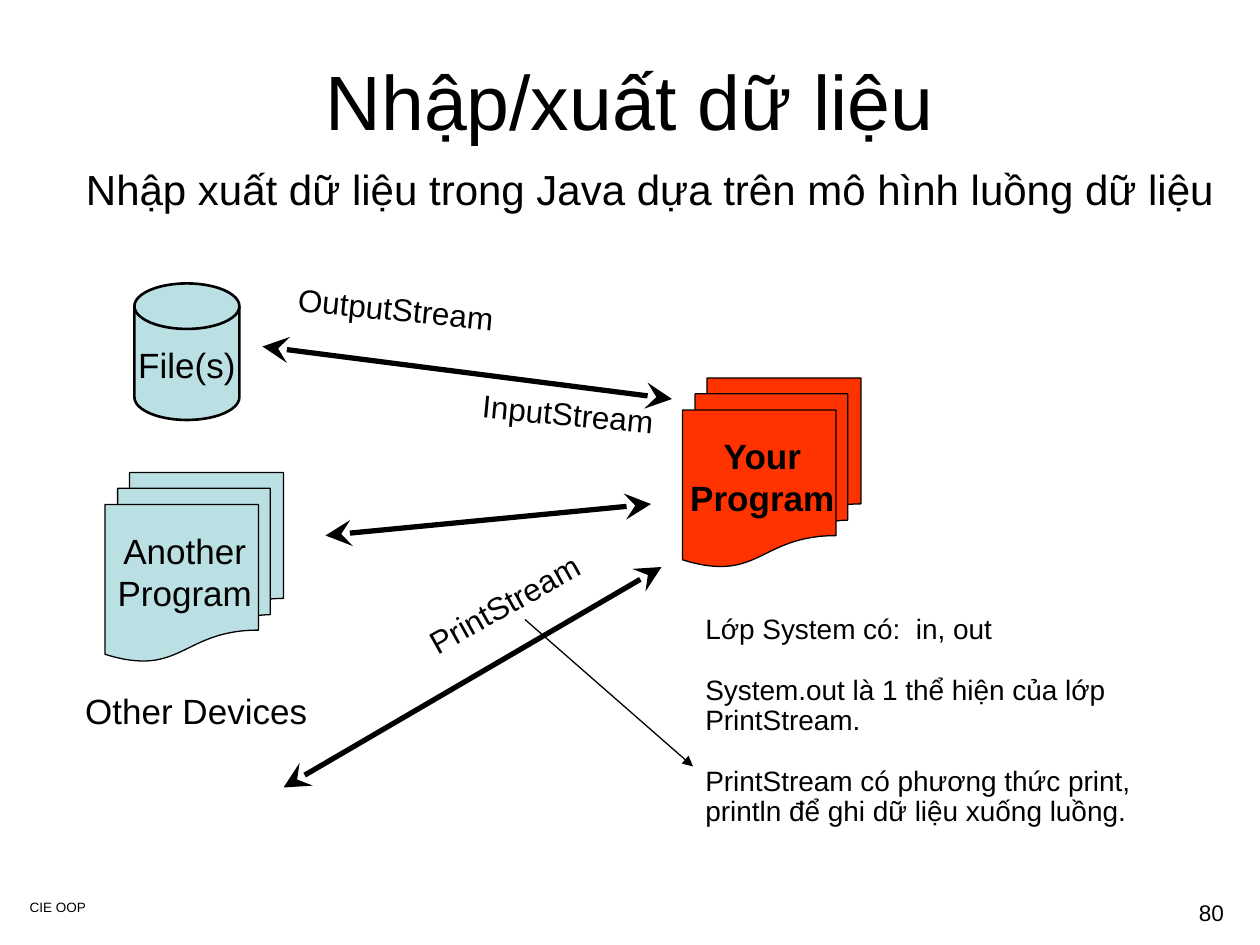
from lxml import etree
from pptx import Presentation
from pptx import util as u
from pptx.dml.color import RGBColor
from pptx.enum import shapes, text
from pptx.oxml.ns import qn

SLIDE = (10, 7.5)
COLS, ROWS = 120, 90  # square cells

THEME = {
    "font": "Arial",
    "ink": RGBColor(0, 0, 0),
    "pale": RGBColor(0xBB, 0xE0, 0xE3),
    "red": RGBColor(0xFF, 0x33, 0x00),
    "title": 44, "lead": 24, "node": 20, "stream": 18,
    "note": 16, "number": 12.9, "footer": 7.7,
}

CENTER = text.PP_ALIGN.CENTER
DISK = shapes.MSO_SHAPE.FLOWCHART_MAGNETIC_DISK
PAGES = shapes.MSO_SHAPE.FLOWCHART_MULTIDOCUMENT

# Paragraphs, (column, row, columns, rows), type role, formats
BLOCKS = [
    (["80"], (113, 85, 5, 4), "number", {}),
    (["CIE OOP"], (0, 85, 11, 3), "footer", {"alignment": CENTER}),
    (["Nhập/xuất dữ liệu"], (9, 2, 102, 15), "title", {"alignment": CENTER}),
    (["Nhập xuất dữ liệu trong Java dựa trên mô hình luồng dữ liệu"],
     (7, 15, 111, 8), "lead", {"space_before": u.Pt(6)}),
    (["Lớp System có:  in, out",
      "System.out là 1 thể hiện của lớp PrintStream.",
      "PrintStream có phương thức print, println để ghi dữ liệu xuống luồng."],
     (66, 58, 49, 21.4), "note",
     {"line_spacing": 0.9, "space_before": u.Pt(17.5)}),
]

# Shape, (column, row, columns, rows), fill role, line width
NODES = [
    (PAGES, (65, 36, 17, 18), "red", 0.75),
    (DISK, (12.8, 27, 10, 13), "pale", 1.5),
    (PAGES, (10, 45, 17, 18), "pale", 0.75),
]

# Lines, centre, size, type role, bold, rotation
LABELS = [
    (["Your", "Program"], (72.6, 45.4), (16.2, 9.2), "node", True, 0),
    (["File(s)"], (17.8, 34.8), (11.8, 5.3), "node", False, 0),
    (["Another", "Program"], (17.6, 54.4), (15.4, 9.2), "node", False, 0),
    (["Other Devices"], (18.7, 67.7), (23.8, 5.3), "node", False, 0),
    (["InputStream"], (54.1, 39.4), (19, 4.8), "stream", False, 5.5),
    (["OutputStream"], (37.7, 29.4), (21.3, 4.8), "stream", False, 5.6),
    (["PrintStream"], (48, 57.5), (18.5, 4.8), "stream", False, 330.7),
]

# From, to, line width, arrowheads
LARGE = {"type": "stealth", "w": "lg", "len": "lg"}
BOTH_ENDS = {"headEnd": LARGE, "tailEnd": LARGE}
ARROWS = [
    ((50, 59), (66, 73), 0.75, {"tailEnd": {"type": "triangle"}}),
    ((25, 33), (64, 38), 3, BOTH_ENDS),
    ((31, 51), (62, 48), 3, BOTH_ENDS),
    ((27, 75), (63, 54), 3, BOTH_ENDS),
]


def place(*cells):
    """Turn alternating column and row counts into lengths."""
    scale = (SLIDE[0] / COLS, SLIDE[1] / ROWS)
    return [u.Inches(c * scale[i % 2]) for i, c in enumerate(cells)]


def add_text(s, lines, box, role, formats, bold=False):
    sp = s.shapes.add_textbox(*place(*box))
    tf = sp.text_frame
    tf.word_wrap = True
    if role == "title":
        tf.vertical_anchor = text.MSO_ANCHOR.MIDDLE
    for i, line in enumerate(lines):
        p = tf.paragraphs[0] if i == 0 else tf.add_paragraph()
        for name, value in formats.items():
            if i or name != "space_before":
                setattr(p, name, value)
        r = p.add_run()
        r.text = line
        font = {"name": THEME["font"], "size": u.Pt(THEME[role]), "bold": bold}
        for name, value in font.items():
            setattr(r.font, name, value)
        r.font.color.rgb = THEME["ink"]
    return sp


def add_node(s, kind, box, fill, width):
    sp = s.shapes.add_shape(kind, *place(*box))
    sp.shadow.inherit = False
    sp.fill.solid()
    sp.fill.fore_color.rgb = THEME[fill]
    sp.line.color.rgb = THEME["ink"]
    sp.line.width = u.Pt(width)


def add_label(s, lines, center, size, role, bold, rotation):
    """Add unwrapped text that grows around its centre."""
    corner = [c - d / 2 for c, d in zip(center, size)]
    sp = add_text(s, lines, (*corner, *size), role, {"alignment": CENTER}, bold)
    sp.text_frame.word_wrap = False
    sp.text_frame.auto_size = text.MSO_AUTO_SIZE.SHAPE_TO_FIT_TEXT
    sp.rotation = rotation


def add_arrow(s, start, end, width, heads):
    sp = s.shapes.add_connector(shapes.MSO_CONNECTOR.STRAIGHT,
                                *place(*start, *end))
    sp.line.color.rgb = THEME["ink"]
    sp.line.width = u.Pt(width)
    for tag, head in heads.items():
        etree.SubElement(sp.line._get_or_add_ln(), qn("a:" + tag), head)
    etree.SubElement(sp._element.spPr, qn("a:effectLst"))


def main():
    prs = Presentation()
    prs.slide_width, prs.slide_height = map(u.Inches, SLIDE)
    s = prs.slides.add_slide(prs.slide_layouts[6])
    for add, items in ((add_text, BLOCKS), (add_node, NODES),
                       (add_label, LABELS), (add_arrow, ARROWS)):
        for item in items:
            add(s, *item)
    prs.save("out.pptx")


if __name__ == "__main__":
    main()
